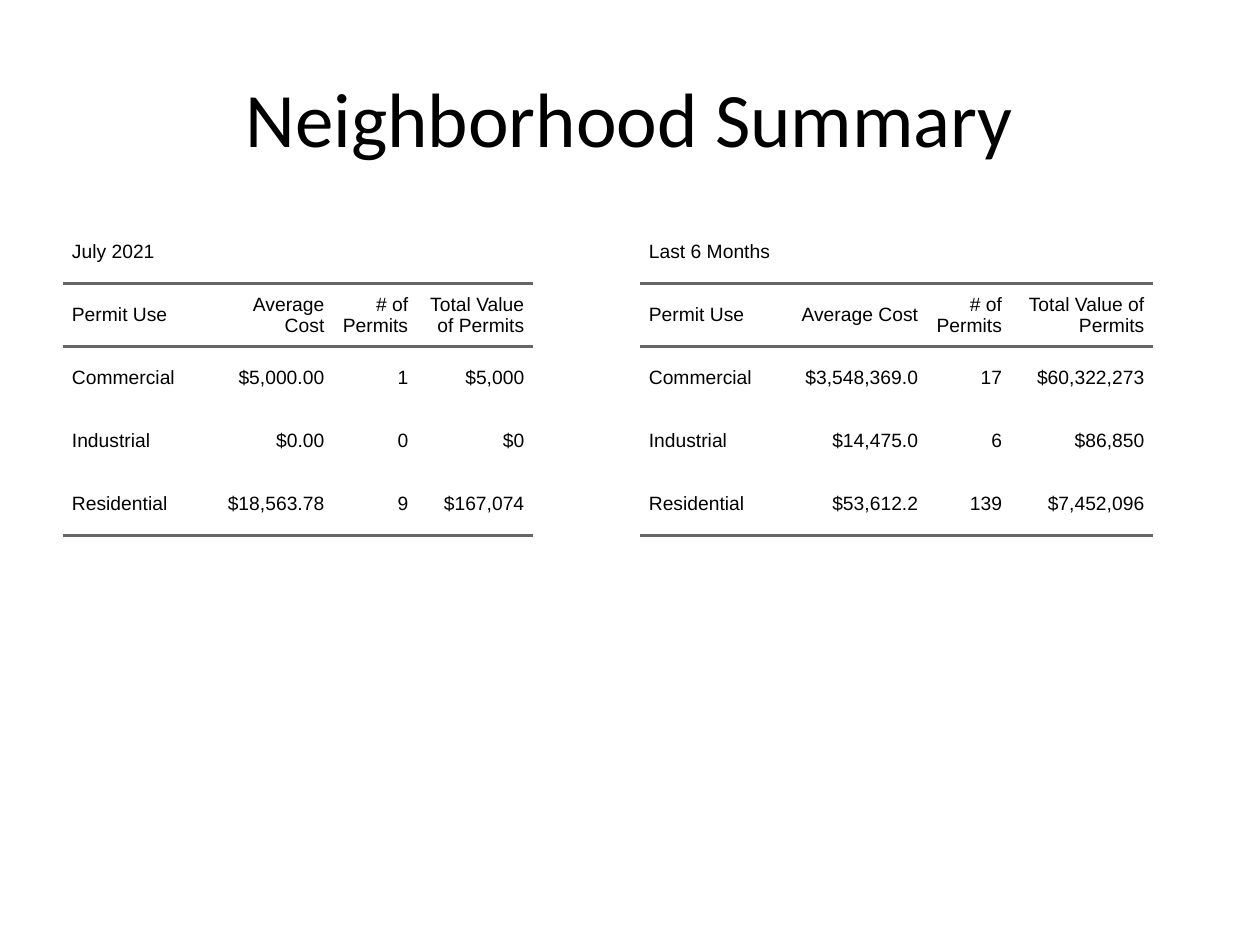
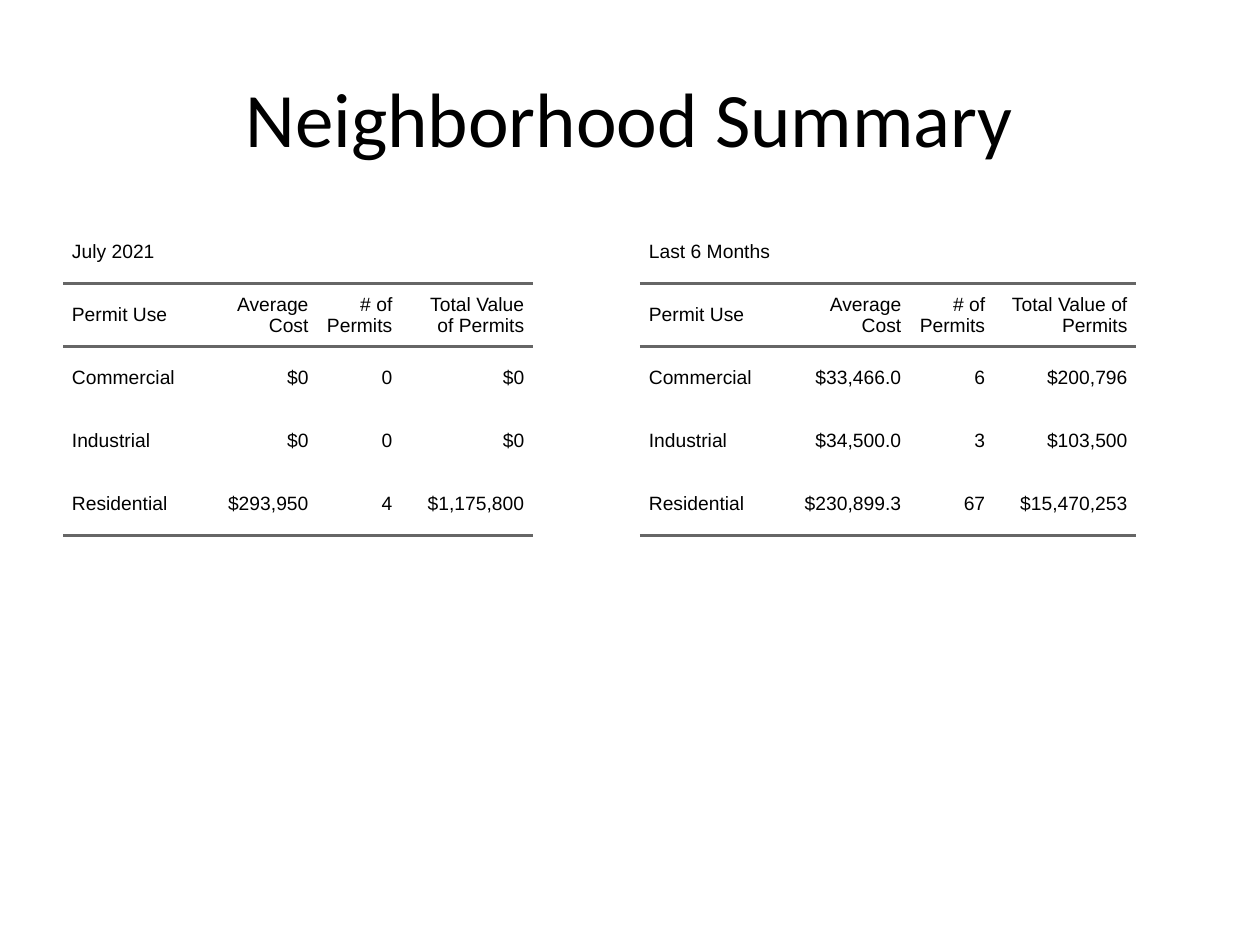
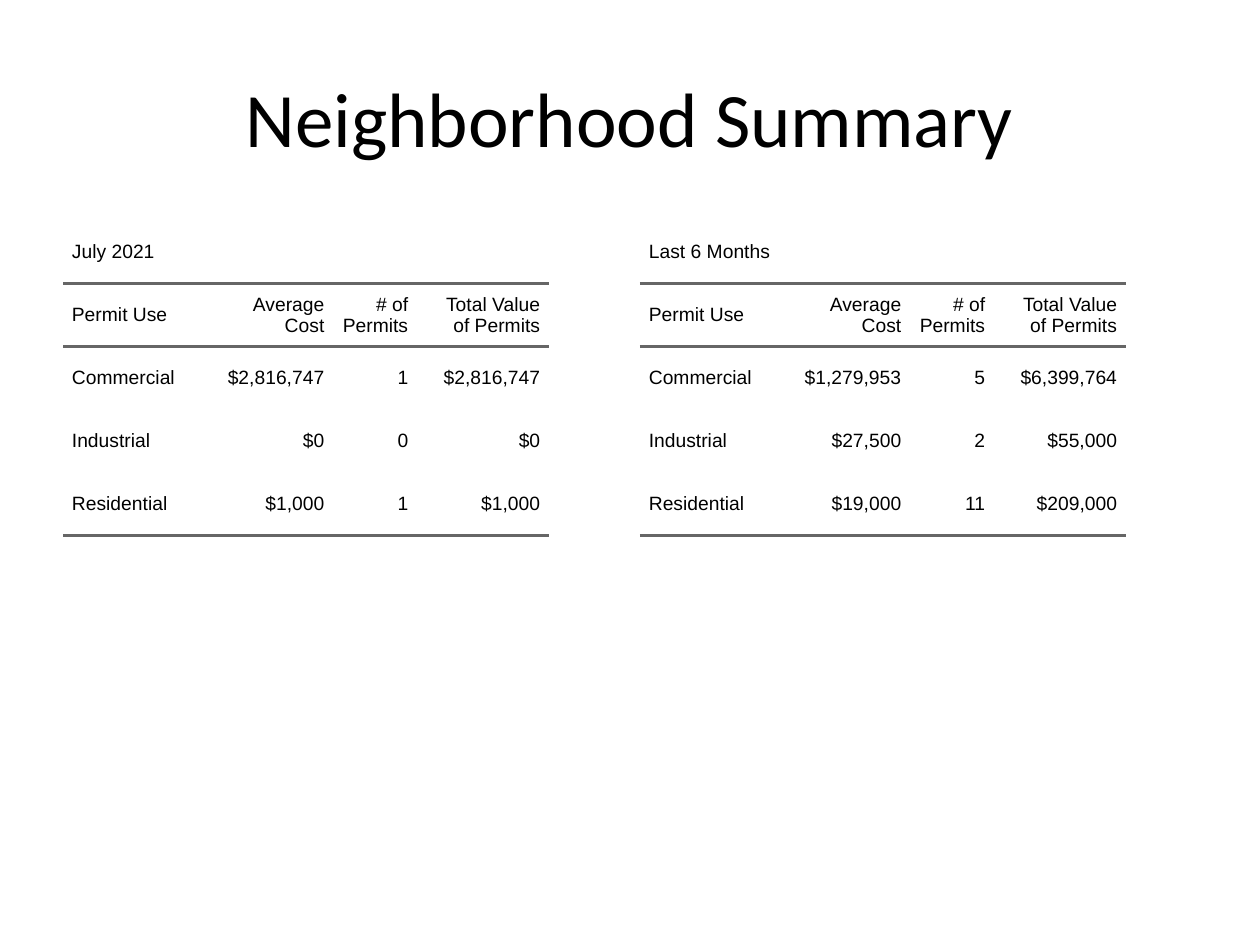
"""Build the neighborhood permit summary deck."""
import dataclasses

import pptx
import pptx.dml.color
import pptx.enum.text
import pptx.oxml.ns
import pptx.util
from lxml import etree

Cm = pptx.util.Cm
Pt = pptx.util.Pt


@dataclasses.dataclass(frozen=True)
class Theme:
    """Colours, fonts, type sizes and table measures of the deck."""
    ink: str = "000000"
    rule: str = "666666"
    title_font: str = "Calibri"
    table_font: str = "Arial"
    title_size: int = 44
    table_size: int = 11
    rule_width: int = 2
    row_height: float = 1.27
    indent: float = 0.18
    table_style: str = "{2D5ABB26-0587-4C30-8999-92F81FD0307C}"


THEME = Theme()
ALIGN = pptx.enum.text.PP_ALIGN
MIDDLE = pptx.enum.text.MSO_ANCHOR.MIDDLE
TITLE = "Neighborhood Summary"
TITLE_BOX = (1.27, 0.76, 22.86, 3.18)
TABLE_TOP = 4.45
TABLE_LEFTS = (1.27, 12.9)
PERIODS = ("July 2021", "Last 6 Months")
HEADINGS = ("Permit Use", "Average Cost", "# of Permits", "Total Value of Permits")
USES = ("Commercial", "Industrial", "Residential")
USE_WIDTH, COUNT_WIDTH = 2.79, 1.69


@dataclasses.dataclass(frozen=True)
class Summary:
    """Figures of one period, with the widths of the two money columns."""
    cost_width: float
    value_width: float
    figures: tuple


NEIGHBORHOODS = (
    (
        Summary(2.66, 2.34, (("$5,000.00", "1", "$5,000"),
                             ("$0.00", "0", "$0"),
                             ("$18,563.78", "9", "$167,074"))),
        Summary(3.0, 2.87, (("$3,548,369.0", "17", "$60,322,273"),
                            ("$14,475.0", "6", "$86,850"),
                            ("$53,612.2", "139", "$7,452,096"))),
    ),
    (
        Summary(2.34, 2.66, (("$0", "0", "$0"),
                             ("$0", "0", "$0"),
                             ("$293,950", "4", "$1,175,800"))),
        Summary(2.66, 2.87, (("$33,466.0", "6", "$200,796"),
                             ("$34,500.0", "3", "$103,500"),
                             ("$230,899.3", "67", "$15,470,253"))),
    ),
    (
        Summary(2.66, 2.66, (("$2,816,747", "1", "$2,816,747"),
                             ("$0", "0", "$0"),
                             ("$1,000", "1", "$1,000"))),
        Summary(2.66, 2.66, (("$1,279,953", "5", "$6,399,764"),
                             ("$27,500", "2", "$55,000"),
                             ("$19,000", "11", "$209,000"))),
    ),
)


def format_paragraph(para, font_name, size, alignment):
    """Set the font, colour and alignment of a paragraph."""
    para.alignment = alignment
    para.font.name = font_name
    para.font.size = Pt(size)
    para.font.color.rgb = pptx.dml.color.RGBColor.from_string(THEME.ink)


def add_rules(cell, sides):
    """Draw a rule on each named side of a cell, T before B."""
    qn = pptx.oxml.ns.qn
    properties = cell._tc.get_or_add_tcPr()
    for side in sides:
        line = etree.SubElement(properties, qn(f"a:ln{side}"), w=str(Pt(THEME.rule_width)))
        fill = etree.SubElement(line, qn("a:solidFill"))
        etree.SubElement(fill, qn("a:srgbClr"), val=THEME.rule)


def fill_cell(cell, text, alignment, sides):
    """Write one cell and draw its rules."""
    cell.margin_left = cell.margin_right = cell.margin_top = cell.margin_bottom = 0
    cell.vertical_anchor = MIDDLE
    add_rules(cell, sides)
    cell.fill.background()
    cell.text = text
    para = cell.text_frame.paragraphs[0]
    properties = para._p.get_or_add_pPr()
    for name in ("marL", "marR"):
        properties.set(name, str(Cm(THEME.indent)))
    properties.set("indent", "0")
    format_paragraph(para, THEME.table_font, THEME.table_size, alignment)


def add_summary_table(page, left, top, period, summary):
    """Place the permit table of one period at the given corner."""
    rows = [HEADINGS] + [(use, *row) for use, row in zip(USES, summary.figures)]
    widths = (USE_WIDTH, summary.cost_width, COUNT_WIDTH, summary.value_width)
    row_count = len(rows) + 1
    frame = page.shapes.add_table(row_count, len(widths), Cm(left), Cm(top),
                                  Cm(sum(widths)), Cm(THEME.row_height * row_count))
    table = frame.table
    table.first_row = table.horz_banding = False
    table._tbl.tblPr.find(pptx.oxml.ns.qn("a:tableStyleId")).text = THEME.table_style
    for column, width in zip(table.columns, widths):
        column.width = Cm(width)
    table.cell(0, 0).merge(table.cell(0, len(widths) - 1))
    fill_cell(table.cell(0, 0), period, ALIGN.LEFT, "")
    rules = {1: "TB", row_count - 1: "B"}
    for row_index, row in enumerate(rows, start=1):
        for column_index, text in enumerate(row):
            alignment = ALIGN.RIGHT if column_index else ALIGN.LEFT
            fill_cell(table.cell(row_index, column_index), text, alignment,
                      rules.get(row_index, ""))


def add_title(page, box):
    """Write the title in its placeholder, moved to the given box."""
    title = page.shapes.title
    title.left, title.top, title.width, title.height = map(Cm, box)
    title.text_frame.text = TITLE
    title.text_frame.vertical_anchor = MIDDLE
    format_paragraph(title.text_frame.paragraphs[0], THEME.title_font,
                     THEME.title_size, ALIGN.CENTER)


def add_neighborhood_slide(deck, summaries):
    """Add a slide with one table for each period."""
    page = deck.slides.add_slide(deck.slide_layouts.get_by_name("Title Only"))
    add_title(page, TITLE_BOX)
    for left, period, summary in zip(TABLE_LEFTS, PERIODS, summaries):
        add_summary_table(page, left, TABLE_TOP, period, summary)


def main():
    """Build and save the deck."""
    deck = pptx.Presentation()
    deck.slide_width, deck.slide_height = Cm(25.4), Cm(19.05)
    for summaries in NEIGHBORHOODS:
        add_neighborhood_slide(deck, summaries)
    deck.save("out.pptx")


if __name__ == "__main__":
    main()
